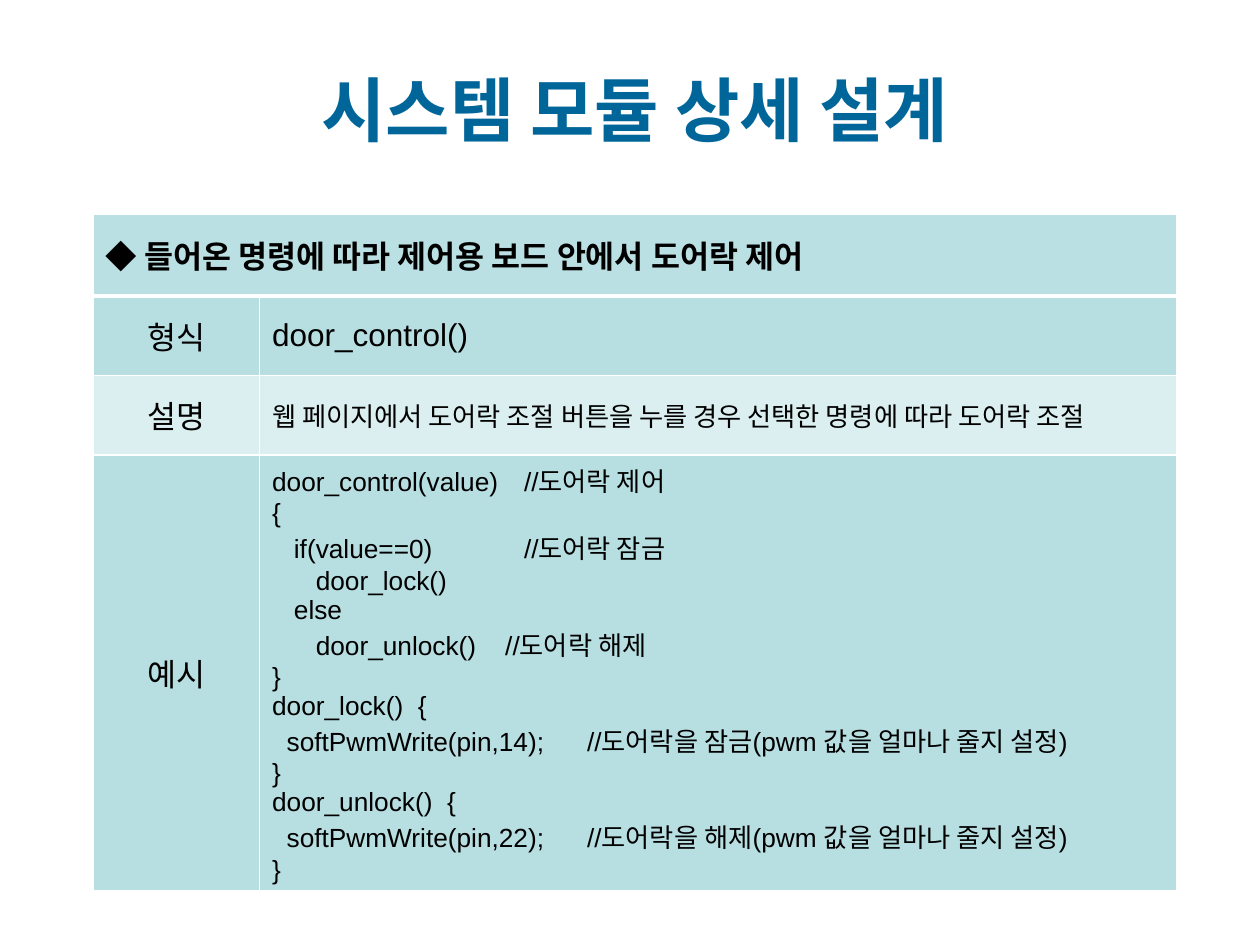
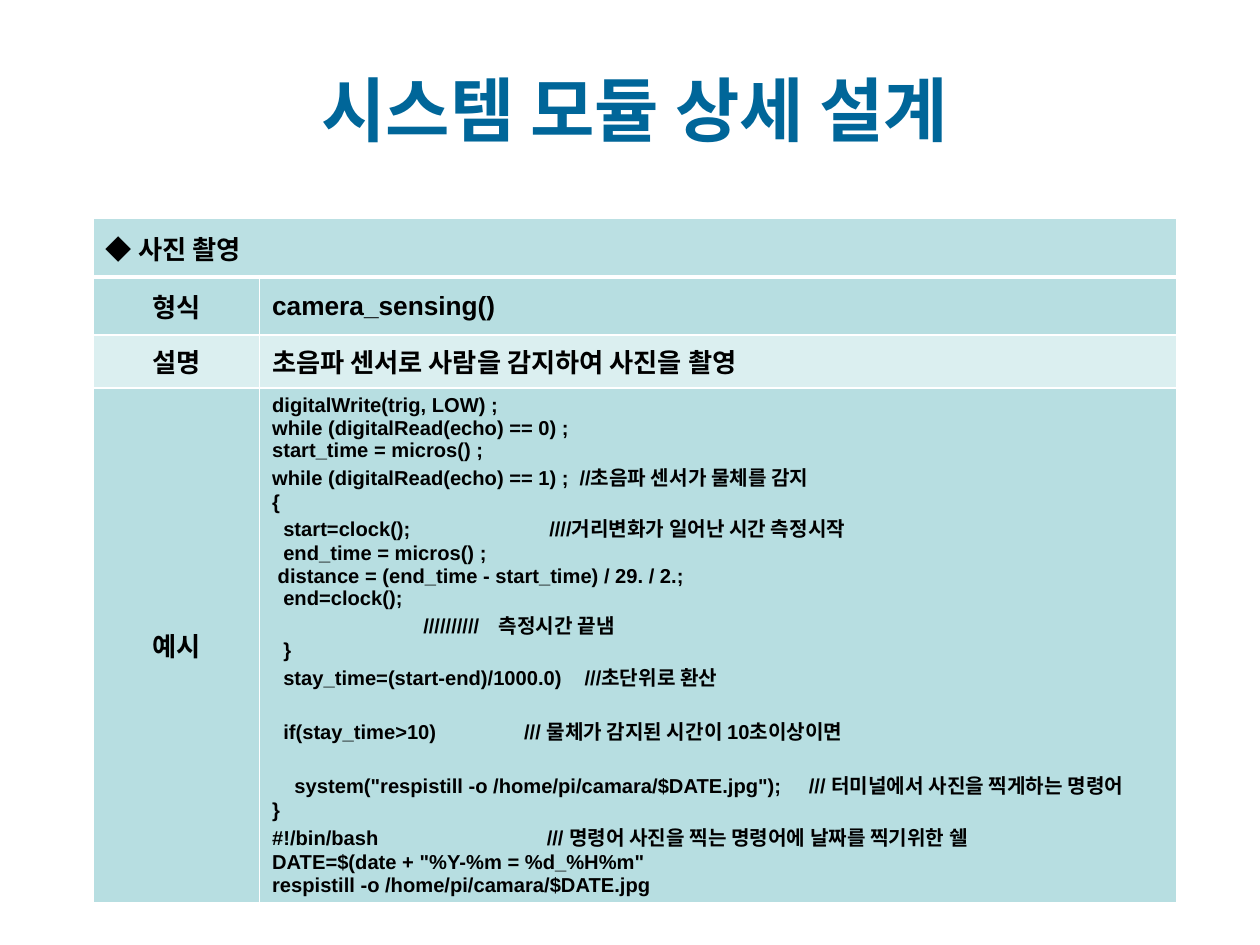
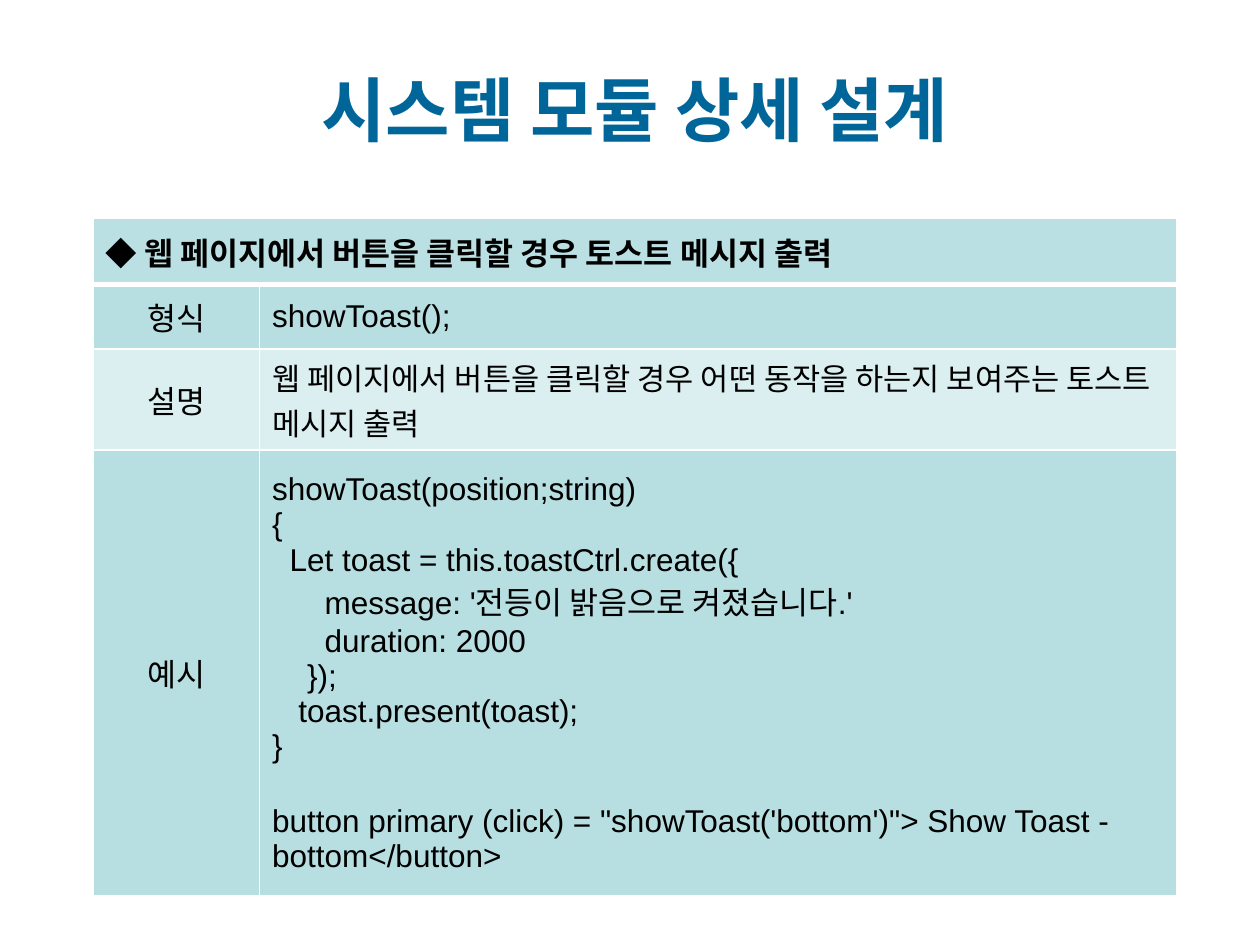
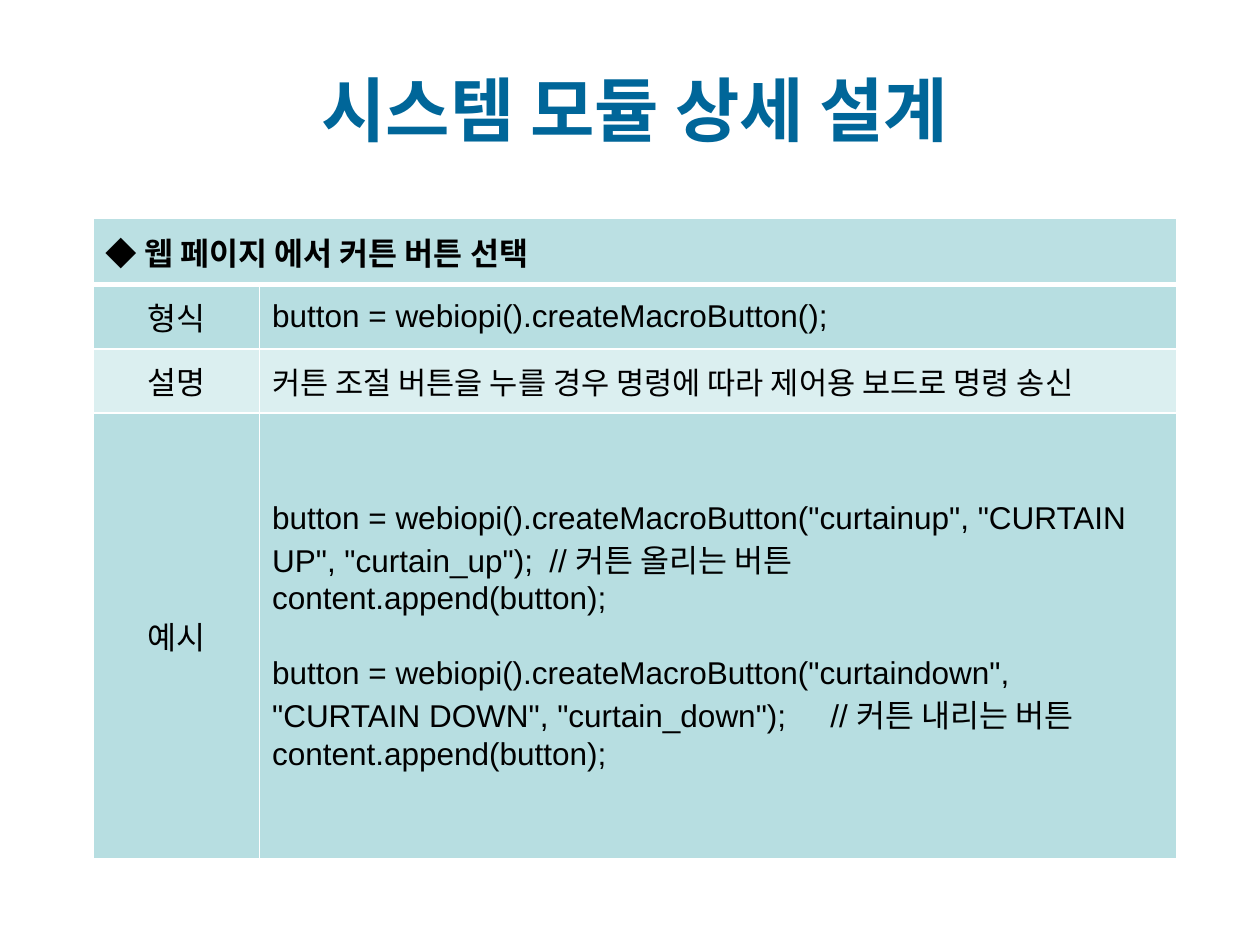
from pptx import Presentation
from pptx.dml.color import RGBColor
from pptx.enum.text import MSO_ANCHOR, PP_ALIGN
from pptx.oxml.ns import qn
from pptx.util import Emu, Inches, Pt
from lxml import etree

MID = MSO_ANCHOR.MIDDLE
LEFT, CENTER = PP_ALIGN.LEFT, PP_ALIGN.CENTER

# Shared look
TITLE = "시스템 모듈 상세 설계"
TITLE_BOX = (0.58, 0.3, 8.92, 1.12)
TITLE_FONT, FONT = "Quicksand", "Arial"
BLUE, BLACK, WHITE = "006699", "000000", "FFFFFF"
FILLS = ["BBE0E3", "B7DEE1", "DBEFF0", "B7DEE1"]
LABELS = ["형식", "설명", "예시"]
TABLE_X, COLS = 0.74, (1.32, 7.28)
THIN, THICK = 1, 3
GAP = 1.25  # height of an empty code line, in font sizes

# Content: a code line is a string, or code, tab stop, comment, ...
# An empty string leaves a gap above the next line.
LOCK = [
    ("door_control(value)", 2, "//도어락 제어"),
    "{",
    ("   if(value==0)", 2, "//도어락 잠금"),
    "      door_lock()",
    "   else",
    ("      door_unlock()", 1.85, "//도어락 해제"),
    "}",
    "door_lock()  {",
    ("  softPwmWrite(pin,14);", 2.5, "//도어락을 잠금(pwm 값을 얼마나 줄지 설정)"),
    "}",
    "door_unlock()  {",
    ("  softPwmWrite(pin,22);", 2.5, "//도어락을 해제(pwm 값을 얼마나 줄지 설정)"),
    "}",
]
CAMERA = [
    "digitalWrite(trig, LOW) ;",
    "while (digitalRead(echo) == 0) ;",
    "start_time = micros() ;",
    ("while (digitalRead(echo) == 1) ;", 2.44, "//초음파 센서가 물체를 감지"),
    "{",
    ("  start=clock();", 2.2, "////거리변화가 일어난 시간 측정시작"),
    "  end_time = micros() ;",
    " distance = (end_time - start_time) / 29. / 2.;",
    "  end=clock();",
    ("", 1.2, "//////////", 1.8, "측정시간 끝냄"),
    "  }",
    ("  stay_time=(start-end)/1000.0)", 2.48, "///초단위로 환산"),
    "",
    ("  if(stay_time>10)", 2, "/// 물체가 감지된 시간이 10초이상이면"),
    "",
    ('    system("respistill -o /home/pi/camara/$DATE.jpg");', 4.26,
     "/// 터미널에서 사진을 찍게하는 명령어"),
    "}",
    ("#!/bin/bash", 2.18, "/// 명령어 사진을 찍는 명령어에 날짜를 찍기위한 쉘"),
    'DATE=$(date + "%Y-%m = %d_%H%m"',
    "respistill -o /home/pi/camara/$DATE.jpg",
]
TOAST = [
    "showToast(position;string)",
    "{",
    "  Let toast = this.toastCtrl.create({",
    "      message: '전등이 밝음으로 켜졌습니다.'",
    "      duration: 2000",
    "    });",
    "   toast.present(toast);",
    "}",
    "",
    "button primary (click) = \"showToast('bottom')\"> Show Toast - bottom</button>",
]
CURTAIN = [
    ('button = webiopi().createMacroButton("curtainup", "CURTAIN UP", "curtain_up");',
     2.2, "// 커튼 올리는 버튼"),
    "content.append(button);",
    "",
    'button = webiopi().createMacroButton("curtaindown",',
    ('"CURTAIN DOWN", "curtain_down");', 4.43, "// 커튼 내리는 버튼"),
    "content.append(button);",
]
LOW_ROWS = (0.53, 0.51, 0.51, 3.54)

# sizes: heading and labels, form, description, code
SLIDES = [
    dict(head="◆ 들어온 명령에 따라 제어용 보드 안에서 도어락 제어",
         form="door_control()",
         desc="웹 페이지에서 도어락 조절 버튼을 누를 경우 선택한 명령에 따라 도어락 조절",
         code=LOCK, top=1.7, rows=(0.65, 0.63, 0.63, 3.35),
         sizes=(18, 18, 15, 15), bold=False),
    dict(head="◆ 사진 촬영", form="camera_sensing()",
         desc="초음파 센서로 사람을 감지하여 사진을 촬영",
         code=CAMERA, top=1.73, rows=(0.47, 0.46, 0.42, 3.87),
         sizes=(15, 15, 15, 11.5), bold=True),
    dict(head="◆ 웹 페이지에서 버튼을 클릭할 경우 토스트 메시지 출력",
         form="showToast();",
         desc="웹 페이지에서 버튼을 클릭할 경우 어떤 동작을 하는지 보여주는 토스트 메시지 출력",
         code=TOAST, top=1.73, rows=LOW_ROWS,
         sizes=(18, 18, 17.5, 18), bold=False),
    dict(head="◆ 웹 페이지 에서 커튼 버튼 선택",
         form="button = webiopi().createMacroButton();",
         desc="커튼 조절 버튼을 누를 경우 명령에 따라 제어용 보드로 명령 송신",
         code=CURTAIN, top=1.73, rows=LOW_ROWS,
         sizes=(18, 18, 17.5, 18), bold=False),
]


def color(code):
    return RGBColor.from_string(code)


def add_run(par, text, font, size, bold, tint):
    run = par.add_run()
    run.text = text
    run.font.name = font
    run.font.size = Pt(size)
    run.font.bold = bold
    run.font.color.rgb = color(tint)


def add_tabs(par, stops):
    tabs = etree.SubElement(par._p.get_or_add_pPr(), qn("a:tabLst"))
    for stop in stops:
        etree.SubElement(tabs, qn("a:tab"), pos=str(Inches(stop)), algn="l")


def write(cell, lines, size, bold, align=LEFT):
    cell.vertical_anchor = MID
    frame = cell.text_frame
    par, gap = frame.paragraphs[0], False
    for num, line in enumerate(lines):
        if not line:
            gap = True
            continue
        if num:
            par = frame.add_paragraph()
        parts = (line,) if isinstance(line, str) else line
        if parts[1::2]:
            add_tabs(par, parts[1::2])
        par.alignment = align
        if gap:
            par.space_before = Pt(size * GAP)
            gap = False
        add_run(par, "\t".join(parts[::2]), FONT, size, bold, BLACK)


def paint(cell, fill, top, base):
    props = cell._tc.get_or_add_tcPr()
    for side, width in (("L", THIN), ("R", THIN), ("T", top), ("B", base)):
        line = etree.SubElement(props, qn("a:ln" + side), w=str(Pt(width)))
        solid = etree.SubElement(line, qn("a:solidFill"))
        etree.SubElement(solid, qn("a:srgbClr"), val=WHITE)
    cell.fill.solid()
    cell.fill.fore_color.rgb = color(fill)


def add_title(slide):
    title = slide.shapes.title
    title.left, title.top, title.width, title.height = map(Inches, TITLE_BOX)
    title.text_frame.vertical_anchor = MID
    par = title.text_frame.paragraphs[0]
    par.alignment = CENTER
    add_run(par, TITLE, TITLE_FONT, 40, True, BLUE)


def add_grid(slide, data):
    rows = data["rows"]
    table = slide.shapes.add_table(
        len(rows), len(COLS), Inches(TABLE_X), Inches(data["top"]),
        Inches(sum(COLS)), Inches(sum(rows))).table
    table.first_row = table.horz_banding = False
    for col, width in zip(table.columns, COLS):
        col.width = Inches(width)
    for num, (row, height) in enumerate(zip(table.rows, rows)):
        row.height = Emu(Inches(height))
        for cell in row.cells:
            paint(cell, FILLS[num], THICK if num == 1 else THIN,
                  THICK if num == 0 else THIN)

    # Heading across both columns, then label and text rows
    big, bold = data["sizes"][0], data["bold"]
    table.cell(0, 0).merge(table.cell(0, 1))
    write(table.cell(0, 0), [data["head"]], big, True)
    texts = [[data["form"]], [data["desc"]], data["code"]]
    for num, (label, lines) in enumerate(zip(LABELS, texts), 1):
        write(table.cell(num, 0), [label], big, bold, CENTER)
        write(table.cell(num, 1), lines, data["sizes"][num], bold)


def main():
    prs = Presentation()
    prs.slide_width, prs.slide_height = Inches(10), Inches(7.5)
    for data in SLIDES:
        slide = prs.slides.add_slide(prs.slide_layouts[5])
        add_title(slide)
        add_grid(slide, data)
    prs.save("out.pptx")


if __name__ == "__main__":
    main()
